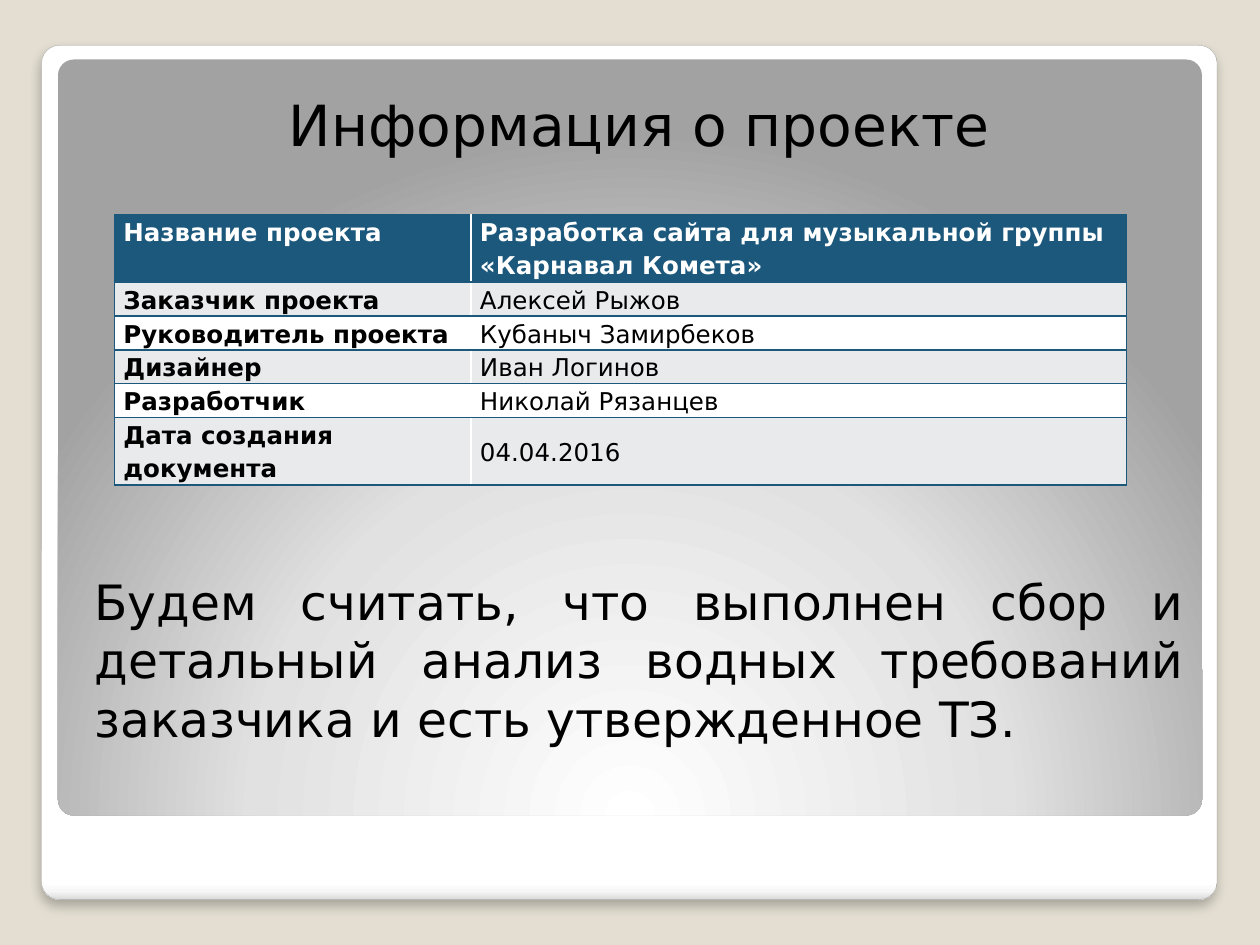
from lxml import etree
from pptx import Presentation
from pptx.dml.color import RGBColor
from pptx.enum.shapes import MSO_SHAPE
from pptx.enum.text import MSO_ANCHOR, PP_ALIGN
from pptx.oxml.ns import qn
from pptx.util import Inches, Pt

ROUNDED = MSO_SHAPE.ROUNDED_RECTANGLE
CENTER, JUSTIFY = PP_ALIGN.CENTER, PP_ALIGN.JUSTIFY
MIDDLE = MSO_ANCHOR.MIDDLE

WIDTH, HEIGHT = Inches(10), Inches(7.5)
FONT = "DejaVu Sans"
COLORS = {
    "background": "E3DED1",
    "frame_line": "A4A4A4",
    "navy": "1B587C",
    "band": "E8EAEC",
    "white": "FFFFFF",
    "black": "000000",
}
FRAME_STOPS = [(0, "FFFFFF"), (98, "FFFFFF"), (99, "F7F7F7"), (100, "DADADA")]
PANEL_STOPS = [(0, "FFFFFF"), (55, "E1E1E1"), (100, "A2A2A2")]

TITLE = "Информация о проекте"
NOTE = ("Будем считать, что выполнен сбор и детальный анализ водных требований "
        "заказчика и есть утвержденное ТЗ.")
PROJECT = [
    ("Название проекта", "Разработка сайта для музыкальной группы «Карнавал Комета»"),
    ("Заказчик проекта", "Алексей Рыжов"),
    ("Руководитель проекта", "Кубаныч Замирбеков"),
    ("Дизайнер", "Иван Логинов"),
    ("Разработчик", "Николай Рязанцев"),
    ("Дата создания документа", "04.04.2016"),
]
COLUMN_WIDTHS = (2.83, 5.2)
LINE_HEIGHT = 0.264
LINES_PER_ROW = (2, 1, 1, 1, 1, 2)


def color(name):
    return RGBColor.from_string(COLORS[name])


def area(x, y, w, h):
    """Turn shares of the slide's size into left, top, width, height."""
    return int(x * WIDTH), int(y * HEIGHT), int(w * WIDTH), int(h * HEIGHT)


def add(parent, tag, **attributes):
    child = etree.SubElement(parent, qn(tag))
    for key, value in attributes.items():
        child.set(key, str(value))
    return child


def add_color(parent, rgb, alpha=None):
    node = add(parent, "a:srgbClr", val=rgb)
    if alpha is not None:
        add(node, "a:alpha", val=alpha * 1000)


def set_gradient(shape, stops, focus=None):
    """Fill top to bottom, or in circles around focus (l, t, r, b in percent)."""
    fill = etree.Element(qn("a:gradFill"), rotWithShape="1")
    stop_list = add(fill, "a:gsLst")
    for position, rgb in stops:
        add_color(add(stop_list, "a:gs", pos=position * 1000), rgb)
    if focus:
        sides = {side: share * 1000 for side, share in zip("ltrb", focus)}
        add(add(fill, "a:path", path="circle"), "a:fillToRect", **sides)
    else:
        add(fill, "a:lin", ang=90 * 60000, scaled=0)
    shape._element.spPr.find(qn("a:prstGeom")).addnext(fill)


def add_rounded(slide, box):
    shape = slide.shapes.add_shape(ROUNDED, *box)
    shape.adjustments[0] = 0.021
    shape.shadow.inherit = False
    shape.line.fill.background()
    return shape


def add_drop_shadow(shape):
    effects = shape._element.spPr.find(qn("a:effectLst"))
    shadow = add(effects, "a:outerShdw", blurRad=Pt(6), dist=Pt(4),
                 dir=90 * 60000, algn="t", rotWithShape=0)
    add_color(shadow, COLORS["black"], alpha=25)


def add_backdrop(slide):
    slide.background.fill.solid()
    slide.background.fill.fore_color.rgb = color("background")
    frame = add_rounded(slide, area(0.033, 0.048, 0.933, 0.904))
    set_gradient(frame, FRAME_STOPS)
    frame.line.color.rgb = color("frame_line")
    frame.line.width = Pt(0.16)
    add_drop_shadow(frame)
    panel = add_rounded(slide, area(0.046, 0.063, 0.908, 0.8))
    set_gradient(panel, PANEL_STOPS, focus=(50, 175, 50, -75))


def style_runs(p, size, tint, bold=False):
    for r in p.runs:
        r.font.name = FONT
        r.font.size = Pt(size)
        r.font.bold = bold
        r.font.color.rgb = color(tint)


def add_text(slide, text, box, size, align):
    tf = slide.shapes.add_textbox(*box).text_frame
    tf.word_wrap = True
    tf.margin_left, tf.margin_right = Inches(0.2), Inches(0.1)
    tf.margin_top = tf.margin_bottom = 0
    tf.text = text
    p = tf.paragraphs[0]
    p.alignment = align
    style_runs(p, size, "black")


def add_borders(cell, sides):
    for side in sides:
        line = add(cell._tc.get_or_add_tcPr(), f"a:ln{side}", w=Pt(1))
        add_color(add(line, "a:solidFill"), COLORS["navy"])


def fill_cell(cell, text, row, column):
    header = row == 0
    cell.margin_left = cell.margin_right = Inches(0.07)
    cell.margin_top = cell.margin_bottom = 0
    cell.text = text
    p = cell.text_frame.paragraphs[0]
    p.line_spacing = 1.15
    style_runs(p, 14, "white" if header else "black", bold=header or column == 0)
    add_borders(cell, ("L" if column == 0 else "R", "T", "B"))
    cell.fill.solid()
    tint = "navy" if header else "band" if row % 2 else "white"
    cell.fill.fore_color.rgb = color(tint)


def add_project_table(slide):
    box = area(0.091, 0.227, 0.803, 0.281)
    table = slide.shapes.add_table(len(PROJECT), len(COLUMN_WIDTHS), *box).table
    for column, width in zip(table.columns, COLUMN_WIDTHS):
        column.width = Inches(width)
    for row, lines in zip(table.rows, LINES_PER_ROW):
        row.height = Inches(lines * LINE_HEIGHT)
    for i, texts in enumerate(PROJECT):
        for j, text in enumerate(texts):
            fill_cell(table.cell(i, j), text, i, j)
    table.cell(len(PROJECT) - 1, 1).vertical_anchor = MIDDLE


def main():
    prs = Presentation()
    prs.slide_width, prs.slide_height = WIDTH, HEIGHT
    slide = prs.slides.add_slide(prs.slide_layouts[6])
    add_backdrop(slide)
    add_text(slide, TITLE, area(0.055, 0.095, 0.895, 0.07), 32.4, CENTER)
    add_text(slide, NOTE, area(0.055, 0.605, 0.895, 0.19), 27.8, JUSTIFY)
    add_project_table(slide)
    prs.save("out.pptx")


if __name__ == "__main__":
    main()
